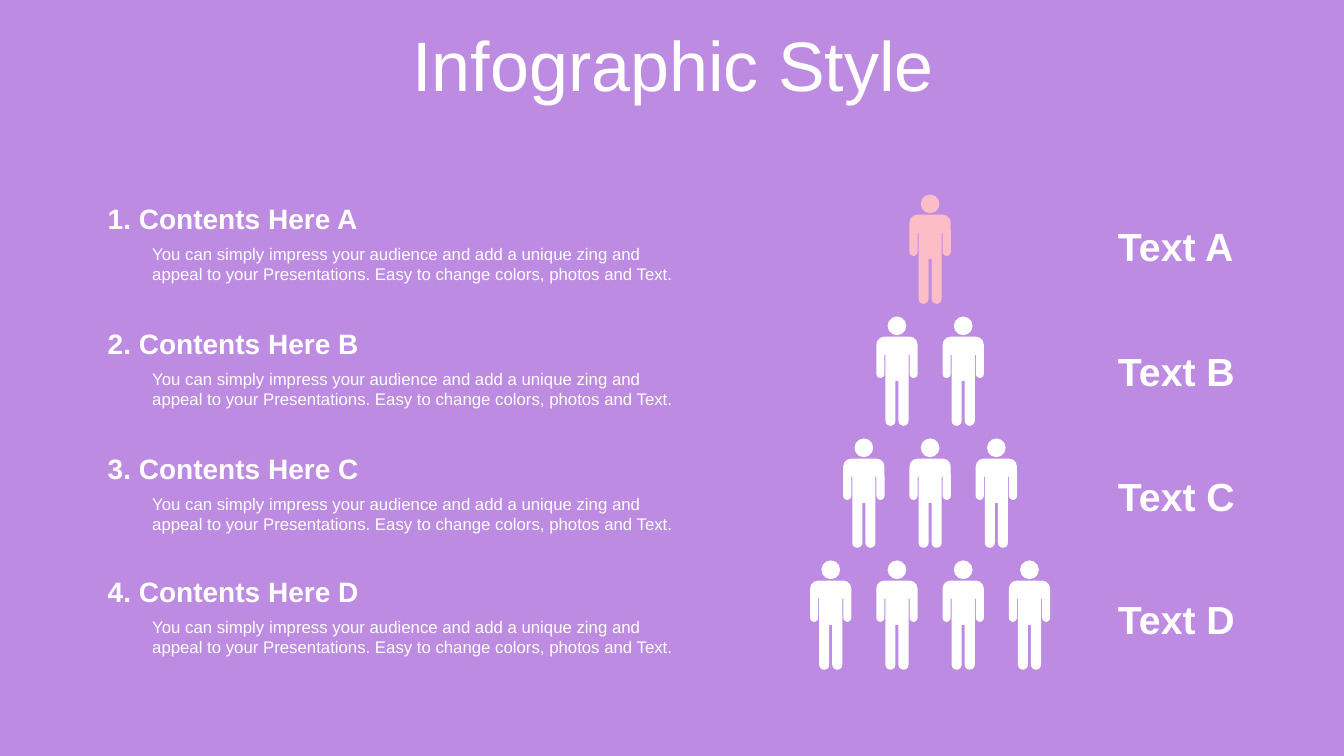
from dataclasses import dataclass

from lxml import etree
from pptx import Presentation
from pptx.dml.color import RGBColor
from pptx.enum.text import MSO_ANCHOR, MSO_AUTO_SIZE, PP_ALIGN
from pptx.oxml.ns import qn
from pptx.util import Inches, Pt

MIDDLE = MSO_ANCHOR.MIDDLE
CENTER, LEFT = PP_ALIGN.CENTER, PP_ALIGN.LEFT
GROW, FIXED = MSO_AUTO_SIZE.SHAPE_TO_FIT_TEXT, MSO_AUTO_SIZE.NONE


@dataclass(frozen=True)
class Theme:
    """Colours, font and type sizes of the slide."""
    background: RGBColor = RGBColor(0xBE, 0x8B, 0xE2)
    light: RGBColor = RGBColor(0xFF, 0xFF, 0xFF)
    accent: RGBColor = RGBColor(0xFD, 0xBD, 0xC7)
    font: str = "Arial"
    title: int = 50
    label: int = 28
    heading: int = 20
    detail: int = 12


THEME = Theme()
DETAIL = ("You can simply impress your audience and add a unique zing and "
          "appeal to your Presentations. Easy to change colors, photos and Text.")
LEVELS = (("A", 1.95), ("B", 3.19), ("C", 4.43), ("D", 5.65))
PYRAMID_CENTER, PYRAMID_TOP = 9.225, 1.93
PERSON_PITCH, ROW_PITCH = 0.657, 1.21
RIGHT_HALF = ((0.125, 0.2), (0.205, 0.28), (0.205, 0.57), (0.165, 0.61),
              (0.125, 0.57), (0.125, 0.38), (0.115, 0.38), (0.115, 1.035),
              (0.065, 1.085), (0.015, 1.035), (0.015, 0.64))
BODY = RIGHT_HALF + tuple((-x, y) for x, y in reversed(RIGHT_HALF))
HEAD = ((0, 0), (0.093, 0.093), (0, 0.186), (-0.093, 0.093), (0, 0))
QUARTER_STARTS = {(True, True): 270, (False, True): 0,
                  (False, False): 90, (True, False): 180}


def write(frame, text, *, size, bold=False, align=LEFT, color=THEME.light):
    """Put formatted text in a text frame and return its paragraph."""
    frame.word_wrap = True
    paragraph = frame.paragraphs[0]
    paragraph.alignment = align
    run = paragraph.add_run()
    run.text = text
    run.font.name = THEME.font
    run.font.size = Pt(size)
    run.font.bold = bold
    run.font.color.rgb = color
    return paragraph


def add_text(shapes, text, left, top, width, height, *, side_inset=0.1, **style):
    """Add a text box that grows with its text."""
    box = shapes.add_textbox(Inches(left), Inches(top), Inches(width), Inches(height))
    frame = box.text_frame
    write(frame, text, **style)
    frame.margin_left = frame.margin_right = Inches(side_inset)
    frame.auto_size = GROW


def add_title(slide, text):
    """Fill and place the title placeholder."""
    title = slide.shapes.title
    title.left, title.top = Inches(0.35), Inches(0.31)
    title.width, title.height = Inches(12.66), Inches(0.79)
    frame = title.text_frame
    frame.vertical_anchor = MIDDLE
    frame.auto_size = FIXED
    paragraph = write(frame, text, size=THEME.title, align=CENTER)
    paragraph.line_spacing = 0.8
    paragraph.space_before = Pt(10)


def round_diagonals(shape):
    """Turn each diagonal segment of a freeform into a clockwise quarter arc."""
    x = y = 0
    for segment in list(shape._element.iter(qn("a:moveTo"), qn("a:lnTo"))):
        point = segment[0]
        next_x, next_y = int(point.get("x")), int(point.get("y"))
        dx, dy = next_x - x, next_y - y
        if segment.tag == qn("a:lnTo") and dx and dy:
            start = QUARTER_STARTS[dx > 0, dy > 0]
            quarter = etree.Element(qn("a:arcTo"), wR=str(abs(dx)), hR=str(abs(dy)),
                                    stAng=str(start * 60000), swAng=str(90 * 60000))
            segment.getparent().replace(segment, quarter)
        x, y = next_x, next_y


def add_person(shapes, center, top, color):
    """Draw one person as a single freeform."""
    body, head = [[(Inches(center + x), Inches(top + y)) for x, y in contour]
                  for contour in (BODY, HEAD)]
    builder = shapes.build_freeform(*body[0])
    builder.add_line_segments(body[1:], close=True)
    builder.move_to(*head[0])
    builder.add_line_segments(head[1:], close=True)
    person = builder.convert_to_shape()
    round_diagonals(person)
    person.fill.solid()
    person.fill.fore_color.rgb = color
    person.line.fill.background()
    person.shadow.inherit = False


def add_people_row(slide, count):
    """Add one centred row of the people pyramid."""
    top = PYRAMID_TOP + (count - 1) * ROW_PITCH
    color = THEME.accent if count == 1 else THEME.light
    for i in range(count):
        center = PYRAMID_CENTER + (i - (count - 1) / 2) * PERSON_PITCH
        add_person(slide.shapes, center, top, color)


def add_content(slide, number, letter, top):
    """Add a numbered heading with its detail text."""
    add_text(slide.shapes, DETAIL, 1.43, top + 0.415, 5.47, 0.5,
             side_inset=0.08, size=THEME.detail)
    add_text(slide.shapes, f"{number}. Contents Here {letter}", 0.97, top, 5.93, 0.44,
             size=THEME.heading, bold=True)


def main():
    """Build and save the slide."""
    deck = Presentation()
    deck.slide_width, deck.slide_height = Inches(13.33), Inches(7.5)
    slide = deck.slides.add_slide(deck.slide_layouts.get_by_name("Title Only"))
    slide.background.fill.solid()
    slide.background.fill.fore_color.rgb = THEME.background
    add_title(slide, "Infographic Style")
    for number, (letter, top) in enumerate(LEVELS, start=1):
        add_people_row(slide, number)
        add_content(slide, number, letter, top)
        add_text(slide.shapes, f"Text {letter}", 10.99, top + 0.21, 1.43, 0.57,
                 size=THEME.label, bold=True)
    deck.save("out.pptx")


if __name__ == "__main__":
    main()
